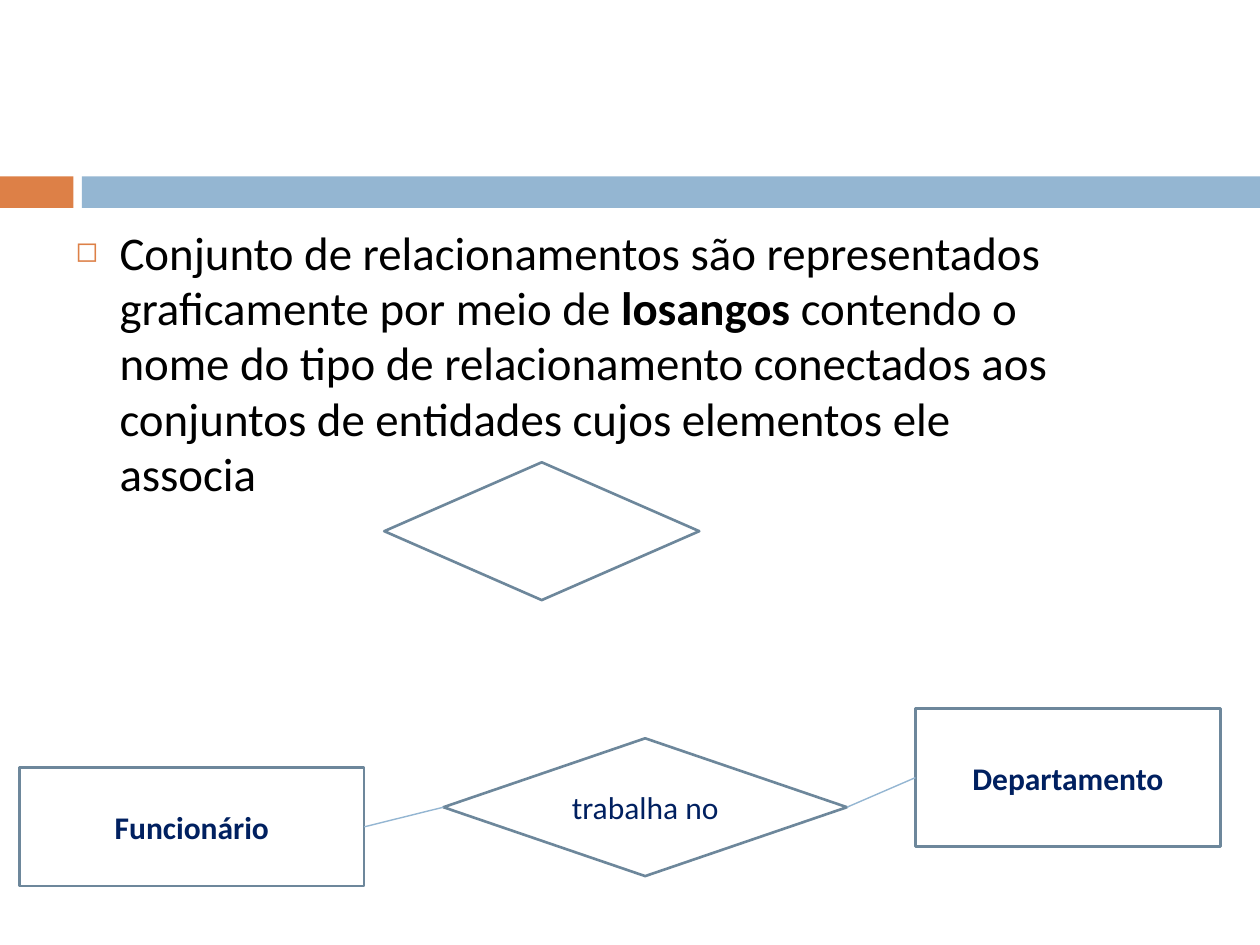
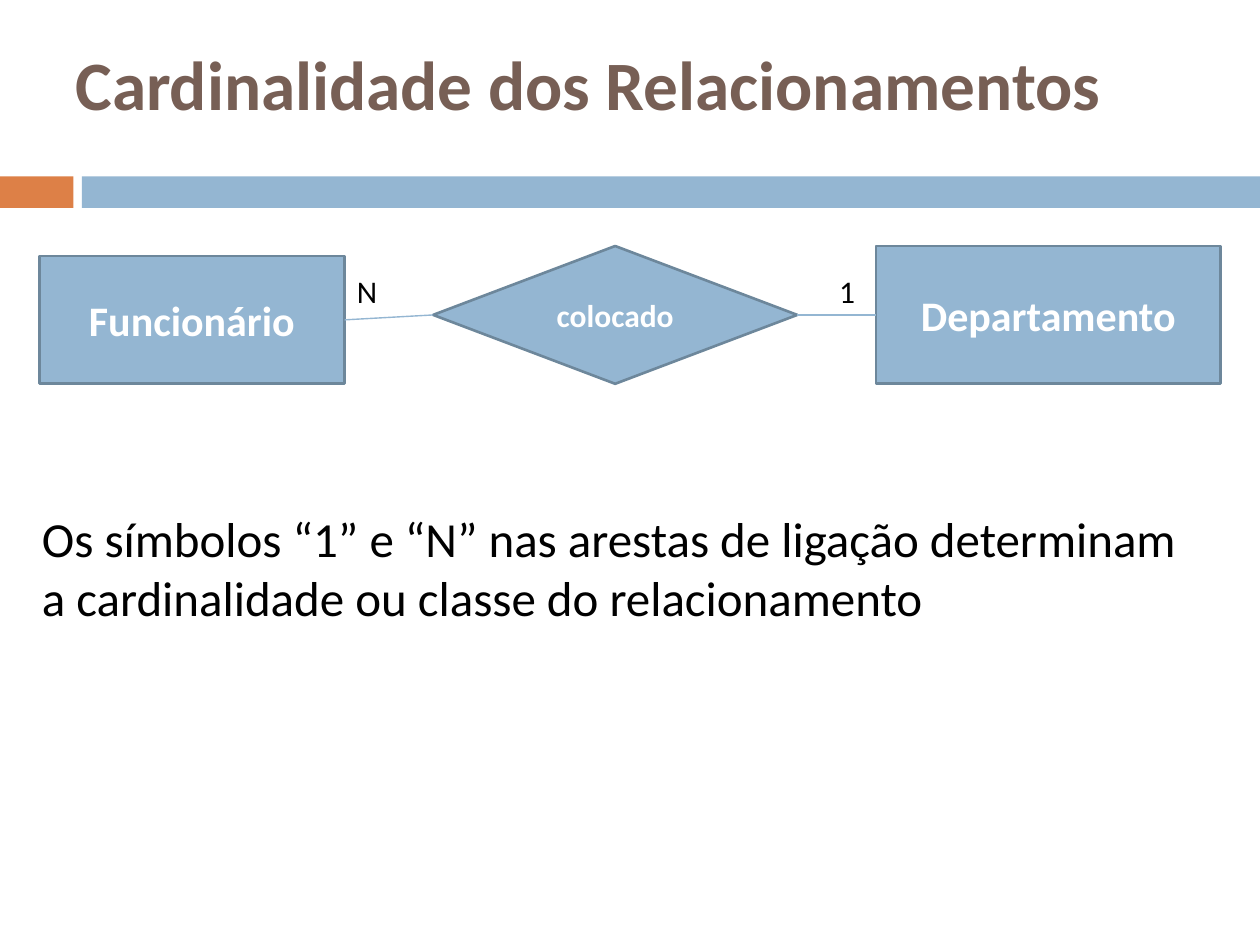
from pptx import Presentation
from pptx.dml.color import RGBColor
from pptx.enum import shapes, text
from pptx.oxml import parse_xml
from pptx.oxml.ns import nsdecls, qn
from pptx.util import Pt

ORANGE = RGBColor(0xDD, 0x80, 0x47)
BLUE = RGBColor(0x94, 0xB6, 0xD2)
EDGE = RGBColor(0x6D, 0x87, 0x9B)
NAVY = RGBColor(0x00, 0x20, 0x60)
BROWN = RGBColor(0x77, 0x5F, 0x55)
BLACK = RGBColor(0, 0, 0)
WHITE = RGBColor(255, 255, 255)
RECT = shapes.MSO_SHAPE.RECTANGLE
DIAMOND = shapes.MSO_SHAPE.FLOWCHART_DECISION
LEFT, RIGHT = 1, 3


def add_shape(slide, kind, box, fill=None, edge=None):
    shape = slide.shapes.add_shape(kind, *map(Pt, box))
    shape.shadow.inherit = False
    if fill is None:
        shape.fill.background()
    else:
        shape.fill.solid()
        shape.fill.fore_color.rgb = fill
    if edge is None:
        shape.line.fill.background()
    else:
        shape.line.color.rgb = edge
        shape.line.width = Pt(1.5)
    return shape


def write(shape, words, size, color, bold=False, align=None, anchor=text.MSO_ANCHOR.TOP):
    frame = shape.text_frame
    frame.word_wrap = True
    frame.vertical_anchor = anchor
    para = frame.paragraphs[0]
    para.alignment = align
    for i, part in enumerate(words.split("*")):
        run = para.add_run()
        run.text = part
        run.font.name = "Calibri"
        run.font.size = Pt(size)
        run.font.bold = bold or i % 2 == 1
        run.font.color.rgb = color
    return para


deck = Presentation()
deck.slide_width, deck.slide_height = Pt(720), Pt(540)
first, second = [deck.slides.add_slide(deck.slide_layouts[6]) for _ in range(2)]
for slide in (first, second):
    add_shape(slide, RECT, (0, 100.8, 42, 18), ORANGE)
    add_shape(slide, RECT, (46.8, 100.8, 673.2, 18), BLUE)

body = first.shapes.add_textbox(Pt(36), Pt(126), Pt(588), Pt(155.5))
para = write(
    body,
    "Conjunto de relacionamentos são representados graficamente por meio de "
    "*losangos* contendo o nome do tipo de relacionamento conectados aos "
    "conjuntos de entidades cujos elementos ele associa",
    26.8, BLACK)
para.space_before = Pt(7)
para.line_spacing = 0.98
props = para._p.get_or_add_pPr()
props.set("marL", str(Pt(25.2)))
props.set("indent", str(Pt(-25.2)))
for xml in (f'<a:buClr {nsdecls("a")}><a:srgbClr val="{ORANGE}"/></a:buClr>',
            f'<a:buSzPct {nsdecls("a")} val="60000"/>',
            f'<a:buChar {nsdecls("a")} char="◻"/>'):
    props.append(parse_xml(xml))
add_shape(first, DIAMOND, (219.6, 264.2, 180, 78.75), edge=EDGE)

title = second.shapes.add_textbox(Pt(36), Pt(21.6), Pt(656), Pt(51.8))
write(title, "Cardinalidade dos Relacionamentos", 39.6, BROWN, True,
      anchor=text.MSO_ANCHOR.MIDDLE)

models = [
    (first, None, NAVY, [
        (RECT, "Funcionário", (11.25, 438.75, 196.9, 67.5), 18, True),
        (DIAMOND, "trabalha no", (253.4, 421.9, 230.6, 78.75), 18, False),
        (RECT, "Departamento", (523.1, 405, 174.4, 78.75), 18, True)]),
    (second, BLUE, WHITE, [
        (RECT, "Funcionário", (22.5, 146.25, 174.4, 73.1), 24, True),
        (DIAMOND, "colocado", (247.5, 140.6, 208.1, 78.75), 18, True),
        (RECT, "Departamento", (500.6, 140.6, 196.9, 78.75), 24, True)]),
]
for slide, fill, color, parts in models:
    nodes = []
    for kind, name, box, size, bold in parts:
        node = add_shape(slide, kind, box, fill, EDGE)
        write(node, name, size, color, bold, text.PP_ALIGN.CENTER,
              text.MSO_ANCHOR.MIDDLE)
        nodes.append(node)
    for start, end in zip(nodes, nodes[1:]):
        link = slide.shapes.add_connector(shapes.MSO_CONNECTOR.STRAIGHT, 0, 0, 0, 0)
        link.begin_connect(start, RIGHT)
        link.end_connect(end, LEFT)
        link.line.color.rgb = BLUE
        link.line.width = Pt(0.79)
        link._element.find(qn("p:spPr")).append(
            parse_xml(f'<a:effectLst {nsdecls("a")}/>'))

notes = [
    ("1", (472.5, 151.9, 39.4, 29), 18),
    ("N", (196.9, 151.9, 39.4, 29), 18),
    ("Os símbolos “1” e “N” nas arestas de ligação determinam a cardinalidade "
     "ou classe do relacionamento", (16.9, 286.9, 680.6, 108.5), 28),
]
for words, box, size in notes:
    write(second.shapes.add_textbox(*map(Pt, box)), words, size, BLACK)

deck.save("out.pptx")
